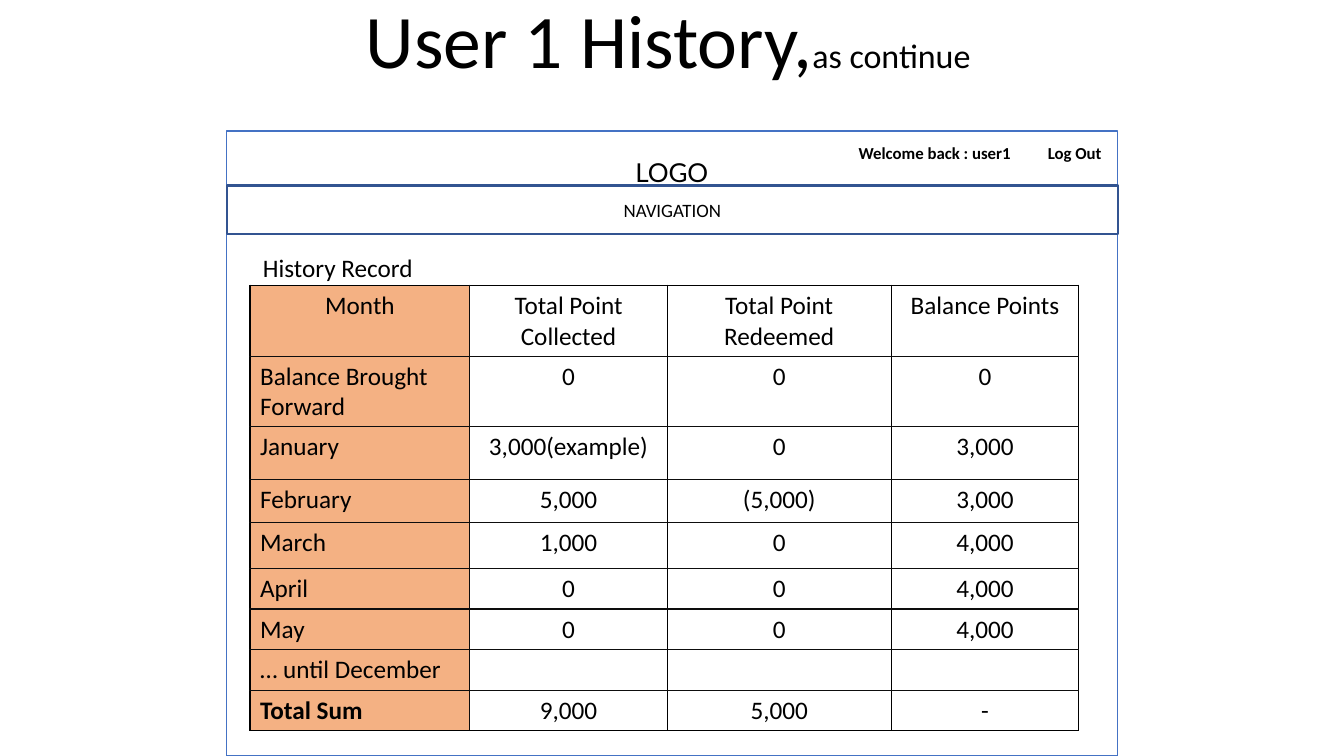
from dataclasses import dataclass, field
from typing import Any

from lxml import etree
from pptx import Presentation
from pptx.dml.color import RGBColor
from pptx.enum.shapes import MSO_SHAPE
from pptx.enum.text import MSO_ANCHOR, MSO_AUTO_SIZE, PP_ALIGN
from pptx.oxml.ns import qn
from pptx.util import Pt

RECTANGLE = MSO_SHAPE.RECTANGLE
TOP, MIDDLE, BOTTOM = MSO_ANCHOR.TOP, MSO_ANCHOR.MIDDLE, MSO_ANCHOR.BOTTOM
LEFT, CENTER = PP_ALIGN.LEFT, PP_ALIGN.CENTER
NO_FIT = MSO_AUTO_SIZE.NONE

BLACK, NEAR_BLACK, WHITE = "000000", "0D0D0D", "FFFFFF"
FRAME_BLUE, NAVIGATION_BLUE, MONTH_ORANGE = "4472C4", "325491", "F4B183"

TIGHT_INSETS = {"margin_left": Pt(5), "margin_right": Pt(5),
                "margin_top": Pt(3), "margin_bottom": Pt(3)}


@dataclass
class Span:
    text: str
    size: float = 18
    font: str = "Calibri"
    bold: bool = False
    baseline: int = 0


@dataclass
class Area:
    left: float
    top: float
    width: float
    height: float

    def lengths(self) -> tuple:
        return Pt(self.left), Pt(self.top), Pt(self.width), Pt(self.height)


@dataclass
class Label:
    area: Area
    span: Span
    align: Any = LEFT
    tab: float = 0
    frame: dict = field(default_factory=dict)


@dataclass
class Panel:
    area: Area
    line: str
    weight: float
    fill: str = ""


PAGE_FRAME = Panel(Area(162, 93.6, 636.5, 446.4), FRAME_BLUE, 1, WHITE)
NAVIGATION = Panel(Area(162, 132.5, 636.5, 34.6), NAVIGATION_BLUE, 1.75)

LABELS = [
    Label(Area(445.7, 105.1, 68.4, 31), Span("LOGO", 32, "Lato", baseline=30000),
          CENTER, frame={"word_wrap": False, **TIGHT_INSETS}),
    Label(Area(606.2, 98.6, 192.2, 21.6),
          Span("Welcome back : user1\tLog Out", 12, bold=True), tab=135.2),
    Label(Area(180.7, 176.4, 589.7, 28.8), Span("History Record")),
]

TABLE_LEFT, TABLE_TOP = 178.6, 203.8
COLUMN_WIDTHS = [157, 141, 160, 134]
ROW_HEIGHTS = [50.6, 50.4, 37.6, 31, 32.6, 29, 29, 29, 29]
HISTORY = [
    ["Month", "Total Point Collected", "Total Point Redeemed", "Balance Points"],
    ["Balance Brought Forward", "0", "0", "0"],
    ["January", "3,000(example)", "0", "3,000"],
    ["February", "5,000", "(5,000)", "3,000"],
    ["March", "1,000", "0", "4,000"],
    ["April", "0", "0", "4,000"],
    ["May", "0", "0", "4,000"],
    ["… until December", "", "", ""],
    ["Total Sum", "9,000", "5,000", "-"],
]


def colour(value: str) -> RGBColor:
    return RGBColor.from_string(value)


def apply_format(target: Any, values: dict) -> None:
    for name, value in values.items():
        setattr(target, name, value)


def add_span(para: Any, span: Span) -> None:
    run = para.add_run()
    run.text = span.text
    apply_format(run.font, {"name": span.font, "size": Pt(span.size), "bold": span.bold})
    run.font.color.rgb = colour(BLACK)
    if span.baseline:
        run.font._element.set("baseline", str(span.baseline))


def add_title(page: Any, area: Area, spans: list[Span]) -> None:
    title = page.shapes.title
    left, top, width, height = area.lengths()
    apply_format(title, {"left": left, "top": top, "width": width, "height": height})
    apply_format(title.text_frame, {"vertical_anchor": BOTTOM, "word_wrap": True,
                                    "auto_size": NO_FIT})
    para = title.text_frame.paragraphs[0]
    apply_format(para, {"alignment": CENTER, "line_spacing": 0.9})
    for span in spans:
        add_span(para, span)


def add_panel(page: Any, panel: Panel) -> Any:
    shape = page.shapes.add_shape(RECTANGLE, *panel.area.lengths())
    shape.shadow.inherit = False
    if panel.fill:
        shape.fill.solid()
        shape.fill.fore_color.rgb = colour(panel.fill)
    else:
        shape.fill.background()
    shape.line.color.rgb = colour(panel.line)
    shape.line.width = Pt(panel.weight)
    return shape


def add_label(page: Any, label: Label) -> None:
    box = page.shapes.add_textbox(*label.area.lengths())
    apply_format(box.text_frame, {"word_wrap": True, "vertical_anchor": TOP, **label.frame})
    para = box.text_frame.paragraphs[0]
    para.alignment = label.align
    if label.tab:
        tabs = etree.SubElement(para._p.get_or_add_pPr(), qn("a:tabLst"))
        etree.SubElement(tabs, qn("a:tab"), pos=str(int(Pt(label.tab))), algn="l")
    add_span(para, label.span)


def add_borders(cell: Any, edges: dict[str, str]) -> None:
    properties = cell._tc.get_or_add_tcPr()
    for edge, value in edges.items():
        line = etree.SubElement(properties, qn(f"a:{edge}"), w=str(int(Pt(1))))
        fill = etree.SubElement(line, qn("a:solidFill"))
        etree.SubElement(fill, qn("a:srgbClr"), val=value)


def add_history(page: Any) -> None:
    area = Area(TABLE_LEFT, TABLE_TOP, sum(COLUMN_WIDTHS), sum(ROW_HEIGHTS))
    table = page.shapes.add_table(len(HISTORY), len(COLUMN_WIDTHS), *area.lengths()).table
    apply_format(table, {"first_row": False, "horz_banding": False})
    for column, width in zip(table.columns, COLUMN_WIDTHS):
        column.width = Pt(width)
    for row, height in zip(table.rows, ROW_HEIGHTS):
        row.height = Pt(height)
    last = len(HISTORY) - 1
    for i, texts in enumerate(HISTORY):
        for j, text in enumerate(texts):
            cell = table.cell(i, j)
            add_borders(cell, {
                "lnL": NEAR_BLACK if j == 1 else BLACK,
                "lnR": NEAR_BLACK if j == 0 else BLACK,
                "lnT": BLACK if i == 0 else NEAR_BLACK,
                "lnB": BLACK if i == last else NEAR_BLACK,
            })
            if j == 0:
                cell.fill.solid()
                cell.fill.fore_color.rgb = colour(MONTH_ORANGE)
            else:
                cell.fill.background()
            para = cell.text_frame.paragraphs[0]
            para.alignment = LEFT if i and j == 0 else CENTER
            if text:
                add_span(para, Span(text, bold=i == last and j == 0))


def main() -> None:
    deck = Presentation()
    apply_format(deck, {"slide_width": Pt(960), "slide_height": Pt(540)})
    page = deck.slides.add_slide(deck.slide_layouts[0])
    subtitle = page.placeholders[1]._element
    subtitle.getparent().remove(subtitle)

    add_title(page, Area(210, 8.6, 540, 55.4),
              [Span("User 1 History,", 54), Span("as continue ", 24.3)])
    add_panel(page, PAGE_FRAME)
    navigation = add_panel(page, NAVIGATION)
    apply_format(navigation.text_frame, {"vertical_anchor": MIDDLE, **TIGHT_INSETS})
    para = navigation.text_frame.paragraphs[0]
    para.alignment = CENTER
    add_span(para, Span("NAVIGATION", 13.5))
    for label in LABELS:
        add_label(page, label)
    add_history(page)
    deck.save("out.pptx")


if __name__ == "__main__":
    main()
